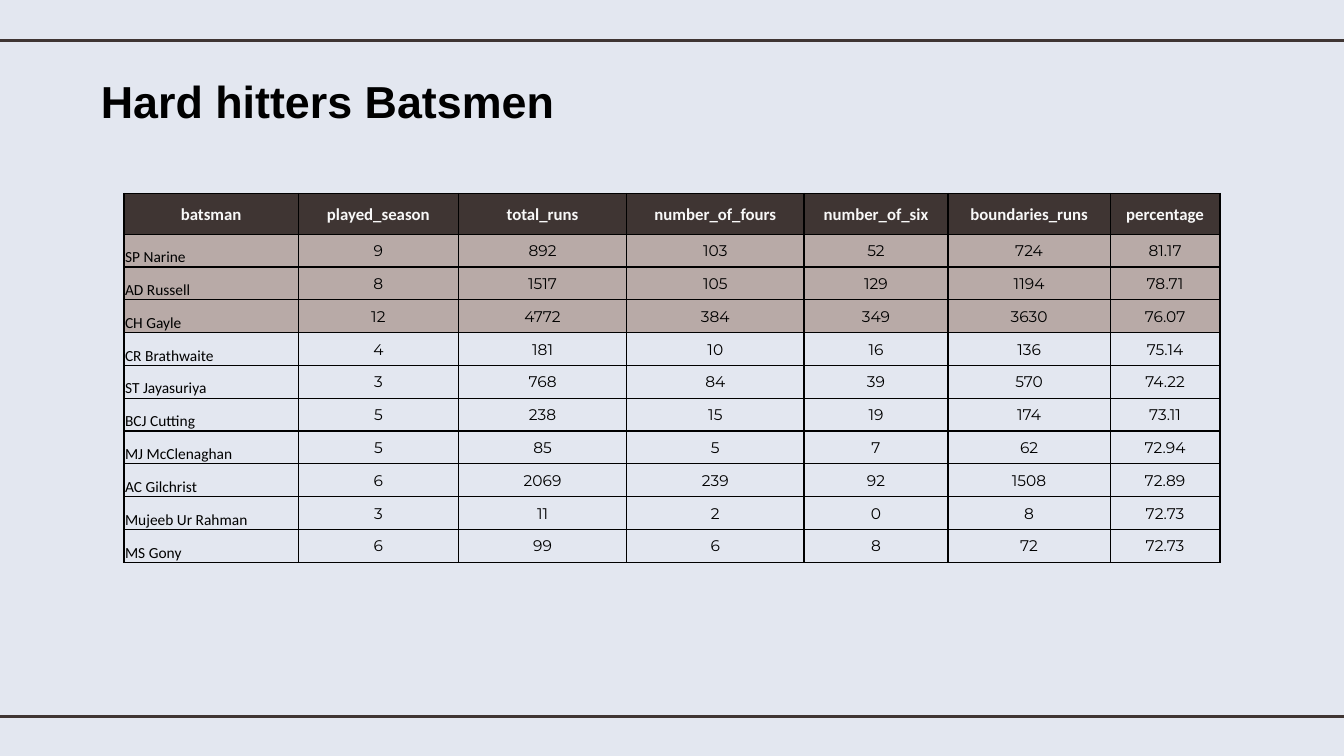
from dataclasses import dataclass

from lxml.etree import SubElement
from pptx import Presentation
from pptx.dml.color import RGBColor
from pptx.enum.shapes import MSO_CONNECTOR as Connector
from pptx.enum.text import MSO_ANCHOR as Anchor, PP_ALIGN as Align
from pptx.oxml import parse_xml
from pptx.oxml.ns import nsdecls, qn
from pptx.util import Inches, Pt


@dataclass(frozen=True)
class Theme:
    """Colours, fonts and sizes of the slide."""
    background: str = "E3E7F0"
    dark: str = "3F3533"
    highlight: str = "B8AAA7"
    ink: str = "000000"
    light: str = "F8F8F8"
    title_font: str = "Arial"
    label_font: str = "Calibri"
    number_font: str = "Montserrat"
    title_size: float = 32
    header_size: float = 12
    body_size: float = 11
    rule_width: float = 2.25
    border_width: float = 1


@dataclass(frozen=True)
class Box:
    """An area in lengths of the slide."""
    left: int
    top: int
    width: int
    height: int

    def area(self, left, top, width, height):
        """Return the area at the given percentages of this one."""
        return Box(self.left + int(self.width * left / 100),
                   self.top + int(self.height * top / 100),
                   int(self.width * width / 100),
                   int(self.height * height / 100))


THEME = Theme()
COLUMN_WEIGHTS = [1.73, 1.59, 1.67, 1.76, 1.43, 1.61, 1.09]
HEADER_SHARE = 0.11
HIGHLIGHTED_ROWS = 3
BATSMEN = [
    ("batsman", "played_season", "total_runs", "number_of_fours",
     "number_of_six", "boundaries_runs", "percentage"),
    ("SP Narine", 9, 892, 103, 52, 724, 81.17),
    ("AD Russell", 8, 1517, 105, 129, 1194, 78.71),
    ("CH Gayle", 12, 4772, 384, 349, 3630, 76.07),
    ("CR Brathwaite", 4, 181, 10, 16, 136, 75.14),
    ("ST Jayasuriya", 3, 768, 84, 39, 570, 74.22),
    ("BCJ Cutting", 5, 238, 15, 19, 174, 73.11),
    ("MJ McClenaghan", 5, 85, 5, 7, 62, 72.94),
    ("AC Gilchrist", 6, 2069, 239, 92, 1508, 72.89),
    ("Mujeeb Ur Rahman", 3, 11, 2, 0, 8, 72.73),
    ("MS Gony", 6, 99, 6, 8, 72, 72.73),
]


def write_text(text_frame, text, *, font, size, color=THEME.ink, bold=False,
               align=Align.LEFT):
    """Write one formatted paragraph."""
    paragraph = text_frame.paragraphs[0]
    paragraph.alignment = align
    run = paragraph.add_run()
    run.text = str(text)
    run.font.name = font
    run.font.size = Pt(size)
    run.font.bold = bold
    run.font.color.rgb = RGBColor.from_string(color)


def set_margins(target, left, top, right, bottom):
    """Set the inner margins of a cell or text frame in inches."""
    target.margin_left, target.margin_top = Inches(left), Inches(top)
    target.margin_right, target.margin_bottom = Inches(right), Inches(bottom)


def add_borders(cell):
    """Draw a solid line on each side of a cell."""
    properties = cell._tc.get_or_add_tcPr()
    for position, side in enumerate("LRTB"):
        properties.insert(position, parse_xml(
            f'<a:ln{side} {nsdecls("a")} w="{Pt(THEME.border_width)}">'
            f'<a:solidFill><a:srgbClr val="{THEME.ink}"/></a:solidFill>'
            f'</a:ln{side}>'))


def add_rules(slide, box):
    """Draw the horizontal rules at the top and bottom of the box."""
    for top in (box.top, box.top + box.height):
        rule = slide.shapes.add_connector(
            Connector.STRAIGHT, box.left, top, box.left + box.width, top)
        rule.line.color.rgb = RGBColor.from_string(THEME.dark)
        rule.line.width = Pt(THEME.rule_width)
        SubElement(rule._element.spPr, qn("a:effectLst"))


def add_title(slide, box, text):
    """Place the slide title in the box."""
    shape = slide.shapes.add_textbox(box.left, box.top, box.width, box.height)
    text_frame = shape.text_frame
    text_frame.word_wrap = True
    text_frame.vertical_anchor = Anchor.MIDDLE
    set_margins(text_frame, 0.13, 0.13, 0.13, 0.13)
    write_text(text_frame, text, font=THEME.title_font,
               size=THEME.title_size, bold=True)


def fill_cell(cell, text, row, column):
    """Write and style a cell according to its row and column."""
    is_header, is_name = row == 0, row > 0 and column == 0
    cell.vertical_anchor = Anchor.BOTTOM if is_name else Anchor.MIDDLE
    set_margins(cell, 0.01, 0.01, 0.01, 0)
    if row <= HIGHLIGHTED_ROWS:
        cell.fill.solid()
        cell.fill.fore_color.rgb = RGBColor.from_string(
            THEME.dark if is_header else THEME.highlight)
    else:
        cell.fill.background()
    add_borders(cell)
    write_text(cell.text_frame, text,
               font=THEME.label_font if is_header or is_name
               else THEME.number_font,
               size=THEME.header_size if is_header else THEME.body_size,
               color=THEME.light if is_header else THEME.ink,
               bold=is_header,
               align=Align.LEFT if is_name else Align.CENTER)


def add_batsmen_table(slide, box, records):
    """Place the table of batsmen in the box."""
    table = slide.shapes.add_table(
        len(records), len(COLUMN_WEIGHTS),
        box.left, box.top, box.width, box.height).table
    table.horz_banding = False
    for column, weight in zip(table.columns, COLUMN_WEIGHTS):
        column.width = int(box.width * weight / sum(COLUMN_WEIGHTS))
    header_height = int(box.height * HEADER_SHARE)
    body_height = (box.height - header_height) // (len(records) - 1)
    for row, record in enumerate(records):
        table.rows[row].height = body_height if row else header_height
        for column, value in enumerate(record):
            fill_cell(table.cell(row, column), value, row, column)


def build_slide(presentation):
    """Build the hard hitters slide."""
    slide = presentation.slides.add_slide(presentation.slide_layouts[6])
    slide.background.fill.solid()
    slide.background.fill.fore_color.rgb = RGBColor.from_string(
        THEME.background)
    page = Box(0, 0, presentation.slide_width, presentation.slide_height)
    add_rules(slide, page.area(-0.83, 5.33, 101.66, 89.47))
    add_title(slide, page.area(6.53, 7.73, 88, 11.2), "Hard hitters Batsmen")
    add_batsmen_table(slide, page.area(9.23, 25.6, 81.55, 48.8), BATSMEN)


def main():
    """Create and save the presentation."""
    presentation = Presentation()
    presentation.slide_width = Inches(13.33)
    presentation.slide_height = Inches(7.5)
    build_slide(presentation)
    presentation.save("out.pptx")


main()
